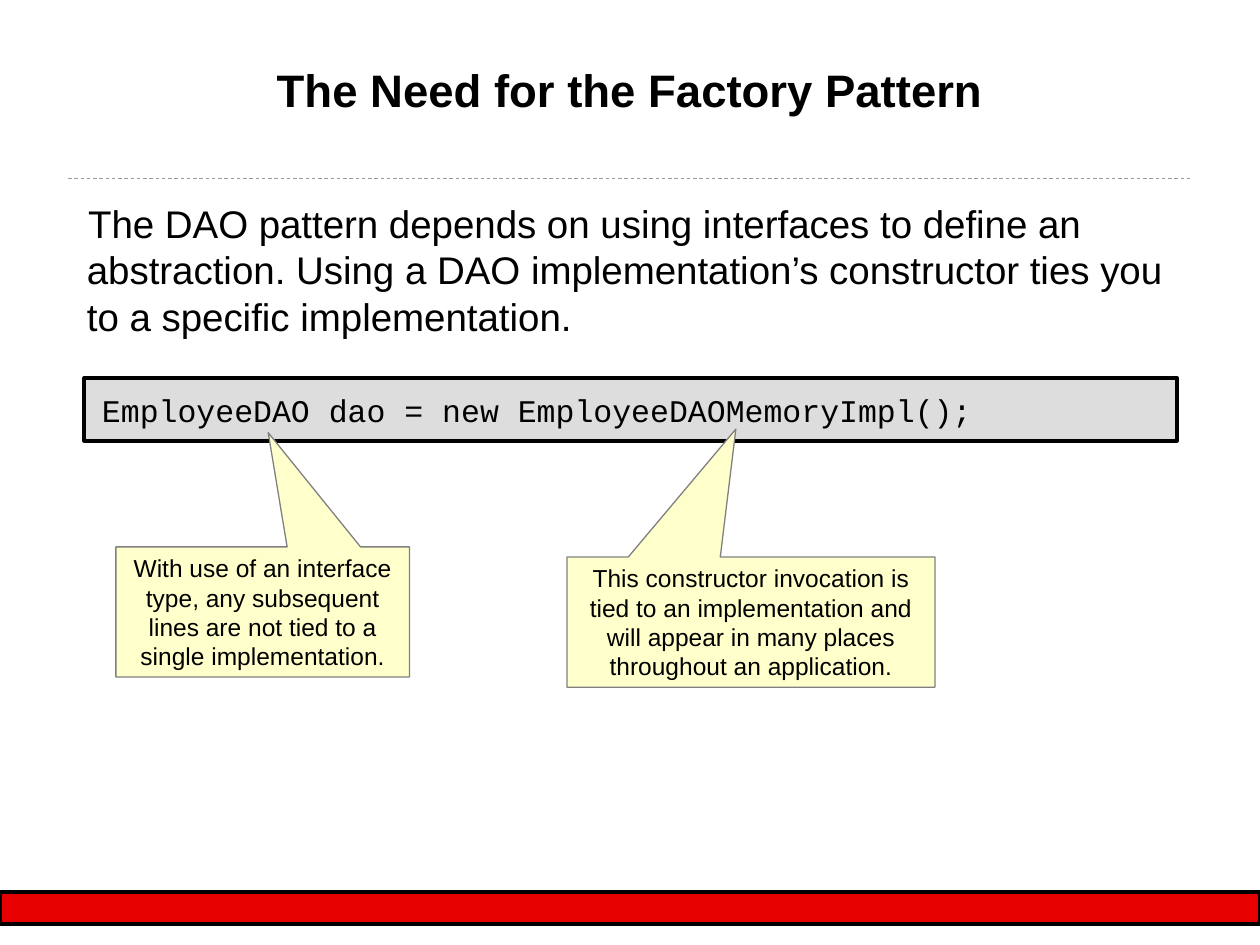
from dataclasses import dataclass

from lxml.etree import SubElement as add_element
from pptx import Presentation
from pptx.dml.color import RGBColor as Color
from pptx.enum.dml import MSO_LINE_DASH_STYLE as Dash
from pptx.enum.shapes import MSO_CONNECTOR as Connector, MSO_SHAPE as Shape
from pptx.enum.text import MSO_ANCHOR as Anchor, PP_ALIGN as Align
from pptx.oxml.ns import qn
from pptx.util import Pt


@dataclass(frozen=True)
class Theme:
    """Colours, fonts and type sizes of the slide."""
    black: str = "000000"
    rule: str = "999999"
    band: str = "E70000"
    code_fill: str = "DDDDDD"
    note_fill: str = "FFFFCC"
    note_line: str = "808080"
    sans: str = "Arial"
    mono: str = "Courier New"
    title_size: float = 26
    body_size: float = 22
    code_size: float = 18
    note_size: float = 14


THEME = Theme()
BODY_LEFT, BODY_WIDTH = 48.24, 623.52
INSET = 0.72
CALLOUTS = [
    ((324, 318.24, 210.24, 74.4), (-0.041, -1.482),
     "This constructor invocation is tied to an implementation and will "
     "appear in many places throughout an application."),
    ((66.24, 312.48, 167.76, 74.4), (0.019, -1.377),
     "With use of an interface type, any subsequent lines are not tied to a "
     "single implementation."),
]


def set_format(target, values):
    """Set each named attribute on the target."""
    for name, value in values.items():
        setattr(target, name, value)


def write(paragraph, text, size, font=THEME.sans, bold=False, **layout):
    """Fill a paragraph with one styled run."""
    set_format(paragraph, layout)
    run = paragraph.add_run()
    run.text = text
    set_format(run.font, {"name": font, "size": Pt(size), "bold": bold})
    run.font.color.rgb = Color.from_string(THEME.black)


def indent(paragraph, left, first):
    """Set the left margin and first-line indent of a paragraph."""
    properties = paragraph._p.get_or_add_pPr()
    properties.set("marL", str(Pt(left)))
    properties.set("indent", str(Pt(first)))


def add_box(slide, kind, box, fill, line, width):
    """Add a filled and outlined preset shape."""
    shape = slide.shapes.add_shape(kind, *map(Pt, box))
    shape.shadow.inherit = False
    shape.fill.solid()
    shape.fill.fore_color.rgb = Color.from_string(fill)
    shape.line.color.rgb = Color.from_string(line)
    shape.line.width = Pt(width)
    return shape


def add_text_frame(slide, top, height):
    """Add a wrapping text box of the body width and return its frame."""
    box = slide.shapes.add_textbox(*map(Pt, (BODY_LEFT, top, BODY_WIDTH, height)))
    sides = ("left", "top", "right", "bottom")
    margins = {f"margin_{side}": Pt(INSET) for side in sides}
    set_format(box.text_frame, {"word_wrap": True, **margins})
    return box.text_frame


def add_rule(slide, left, right, y):
    """Add the dashed rule below the title."""
    rule = slide.shapes.add_connector(Connector.STRAIGHT, *map(Pt, (left, y, right, y)))
    rule.line.color.rgb = Color.from_string(THEME.rule)
    set_format(rule.line, {"width": Pt(0.5), "dash_style": Dash.DASH})
    add_element(rule._element.spPr, qn("a:effectLst"))


def add_callout(slide, box, tip, text):
    """Add a note whose wedge ends at the tip."""
    note = add_box(slide, Shape.RECTANGULAR_CALLOUT, box,
                   THEME.note_fill, THEME.note_line, 0.75)
    for index, value in enumerate(tip):
        note.adjustments[index] = value
    set_format(note.text_frame, {"word_wrap": True, "vertical_anchor": Anchor.MIDDLE})
    write(note.text_frame.paragraphs[0], text, THEME.note_size, alignment=Align.CENTER)


def add_body(slide):
    """Add the explanation and the line of code."""
    frame = add_text_frame(slide, 113.76, 159.84)
    explanation, code = frame.paragraphs[0], frame.add_paragraph()
    write(explanation,
          "The DAO pattern depends on using interfaces to define an abstraction. "
          "Using a DAO implementation’s constructor ties you to a specific "
          "implementation.", THEME.body_size, space_before=Pt(5.5))
    indent(explanation, 0.72, 0.72)
    write(code, "EmployeeDAO dao = new EmployeeDAOMemoryImpl();",
          THEME.code_size, THEME.mono, space_before=Pt(30))
    indent(code, 45.36, -36)


def main():
    """Build the slide and save it."""
    presentation = Presentation()
    set_format(presentation, {"slide_width": Pt(720), "slide_height": Pt(540)})
    slide = presentation.slides.add_slide(presentation.slide_layouts[6])
    add_rule(slide, 38.88, 681.12, 102.24)
    add_box(slide, Shape.FLOWCHART_PROCESS, (0, 509.76, 720, 18),
            THEME.band, THEME.black, 2.25)
    add_box(slide, Shape.RECTANGLE, (48.24, 216, 624.24, 36),
            THEME.code_fill, THEME.black, 2.25)
    title = add_text_frame(slide, 34.56, 69.12)
    write(title.paragraphs[0], "The Need for the Factory Pattern", THEME.title_size,
          bold=True, alignment=Align.CENTER, space_before=Pt(6.5))
    add_body(slide)
    for callout in CALLOUTS:
        add_callout(slide, *callout)
    presentation.save("out.pptx")


if __name__ == "__main__":
    main()
